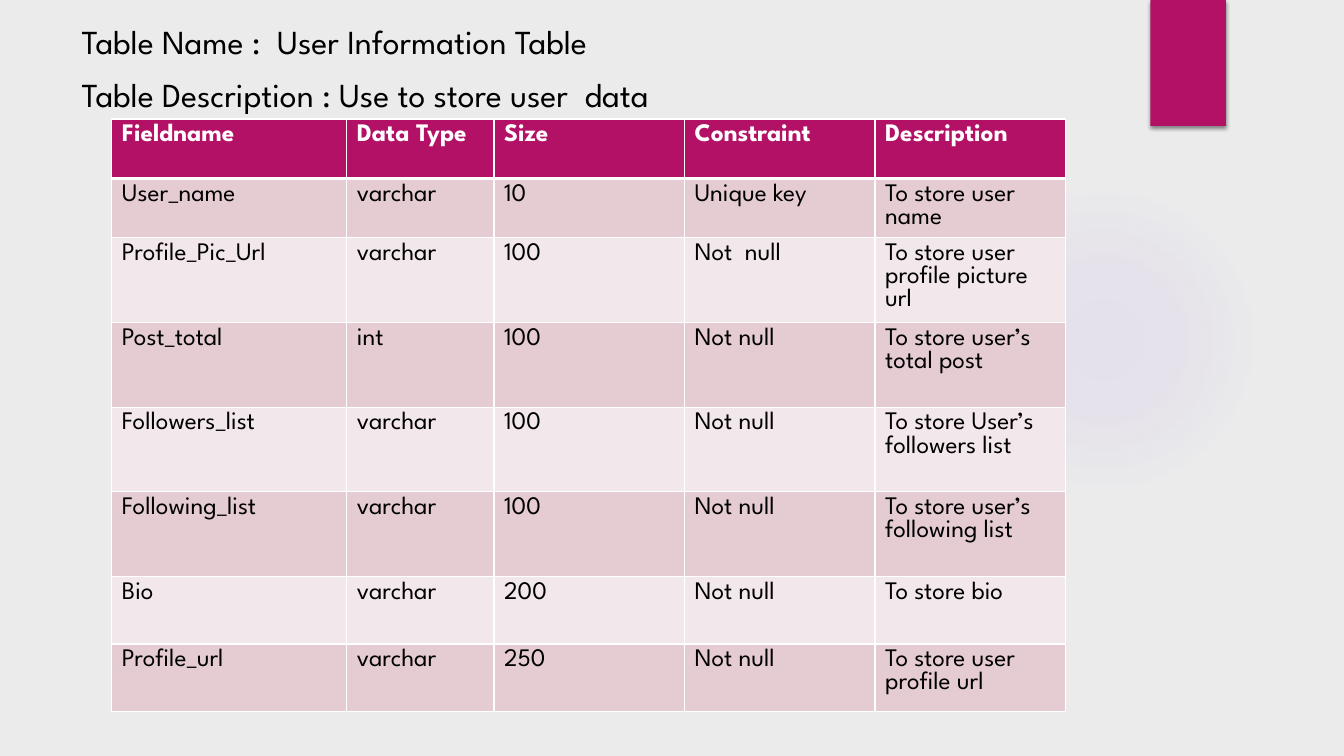
from pptx import Presentation
from pptx.dml.color import RGBColor
from pptx.enum.shapes import MSO_SHAPE
from pptx.enum.text import MSO_ANCHOR, PP_ALIGN
from pptx.oxml import parse_xml
from pptx.oxml.ns import nsdecls
from pptx.util import Inches, Pt

OVAL, RECT = MSO_SHAPE.OVAL, MSO_SHAPE.RECTANGLE
MIDDLE, LEFT = MSO_ANCHOR.MIDDLE, PP_ALIGN.LEFT

TITLE = ("Table Name :  User Information Table\v"
         "Table Description : Use to store user  data")
HEAD = ("Fieldname", "Data Type", "Size", "Constraint", "Description")
FIELDS = [
    ("User_name", "varchar", "10", "Unique key", "To store user  name"),
    ("Profile_Pic_Url", "varchar", "100", "Not  null",
     "To store user profile picture url"),
    ("Post_total", "int", "100", "Not null", "To store user’s total post"),
    ("Followers_list", "varchar", "100", "Not null",
     "To store User’s followers list"),
    ("Following_list", "varchar", "100", "Not null",
     "To store user’s following list"),
    ("Bio", "varchar", "200", "Not null", "To store bio"),
    ("Profile_url", "varchar", "250", "Not null", "To store user profile url"),
]
WIDTHS = [2.33, 1.46] + [1.89] * 3
HEIGHTS = [0.59] * 2 + [0.84] * 4 + [0.67] * 2


class Theme:
    font = "League Spartan"
    title, body = Pt(24), Pt(18)
    back, ink, white = "EBEBEB", "000000", "FFFFFF"
    accent, glow = "B31166", "9B6BF2"
    bands = ("F2E7EA", "E5CCD3")
    thin, thick = Pt(1), Pt(3)


def paint(fill, color):
    fill.solid()
    fill.fore_color.rgb = RGBColor.from_string(color)


def style(para, size, color, bold=False):
    font = para.font
    font.name, font.size, font.bold = Theme.font, size, bold
    font.color.rgb = RGBColor.from_string(color)


def add_glow(slide):
    """Add a round tint that fades out from its centre."""
    glow = slide.shapes.add_shape(OVAL, *map(Inches, (9.41, 1.83, 3.08, 3.08)))
    glow.shadow.inherit = False
    glow.line.fill.background()
    stops = "".join(
        f'<a:gs pos="{pos * 1000}"><a:srgbClr val="{Theme.glow}">'
        f'<a:alpha val="{alpha * 1000}"/></a:srgbClr></a:gs>'
        for pos, alpha in ((0, 7), (36, 6), (69, 0)))
    grad = parse_xml(
        f'<a:gradFill {nsdecls("a")}><a:gsLst>{stops}</a:gsLst>'
        '<a:path path="circle"><a:fillToRect l="50000" t="50000" '
        'r="50000" b="50000"/></a:path></a:gradFill>')
    glow.fill.background()
    props = glow.element.spPr
    props.replace(props.find("{*}noFill"), grad)


def add_tab(slide):
    tab = slide.shapes.add_shape(RECT, *map(Inches, (11.41, 0, 0.75, 1.25)))
    tab.shadow.inherit = False
    paint(tab.fill, Theme.accent)
    tab.line.fill.background()
    tab.element.spPr.find("{*}effectLst").append(parse_xml(
        f'<a:outerShdw {nsdecls("a")} blurRad="{Pt(3)}" dist="{Pt(2)}" '
        f'dir="5400000" rotWithShape="0"><a:srgbClr val="{Theme.ink}">'
        '<a:alpha val="45000"/></a:srgbClr></a:outerShdw>'))


def set_title(slide):
    title = slide.shapes.title
    title.left, title.top, title.width, title.height = map(
        Inches, (0.71, 0.09, 10.29, 1.04))
    frame = title.text_frame
    frame.text = TITLE
    frame.word_wrap = True
    frame.vertical_anchor = MIDDLE
    para = frame.paragraphs[0]
    para.alignment = LEFT
    para.line_spacing = 1.3
    style(para, Theme.title, Theme.ink)


def add_edges(cell, row):
    """Rule all four sides, with a thick line under the head row."""
    top = Theme.thick if row == 1 else Theme.thin
    base = Theme.thick if row == 0 else Theme.thin
    props = cell._tc.get_or_add_tcPr()
    for side, width in zip("LRTB", (Theme.thin, Theme.thin, top, base)):
        props.append(parse_xml(
            f'<a:ln{side} {nsdecls("a")} w="{width}"><a:solidFill>'
            f'<a:srgbClr val="{Theme.white}"/></a:solidFill></a:ln{side}>'))


def add_fields(slide):
    rows = [HEAD] + FIELDS
    table = slide.shapes.add_table(
        len(rows), len(HEAD), Inches(1.11), Inches(1.18),
        Inches(sum(WIDTHS)), Inches(sum(HEIGHTS))).table
    for col, width in zip(table.columns, WIDTHS):
        col.width = Inches(width)
    for r, (words, height) in enumerate(zip(rows, HEIGHTS)):
        table.rows[r].height = Inches(height)
        head = r == 0
        for c, text in enumerate(words):
            cell = table.cell(r, c)
            cell.text = text
            add_edges(cell, r)
            paint(cell.fill, Theme.accent if head else Theme.bands[r % 2])
            style(cell.text_frame.paragraphs[0], Theme.body,
                  Theme.white if head else Theme.ink, head)


def main():
    deck = Presentation()
    deck.slide_width, deck.slide_height = Inches(13.33), Inches(7.5)
    slide = deck.slides.add_slide(deck.slide_layouts[5])
    paint(slide.background.fill, Theme.back)
    add_glow(slide)
    add_tab(slide)
    set_title(slide)
    add_fields(slide)
    deck.save("out.pptx")


if __name__ == "__main__":
    main()
